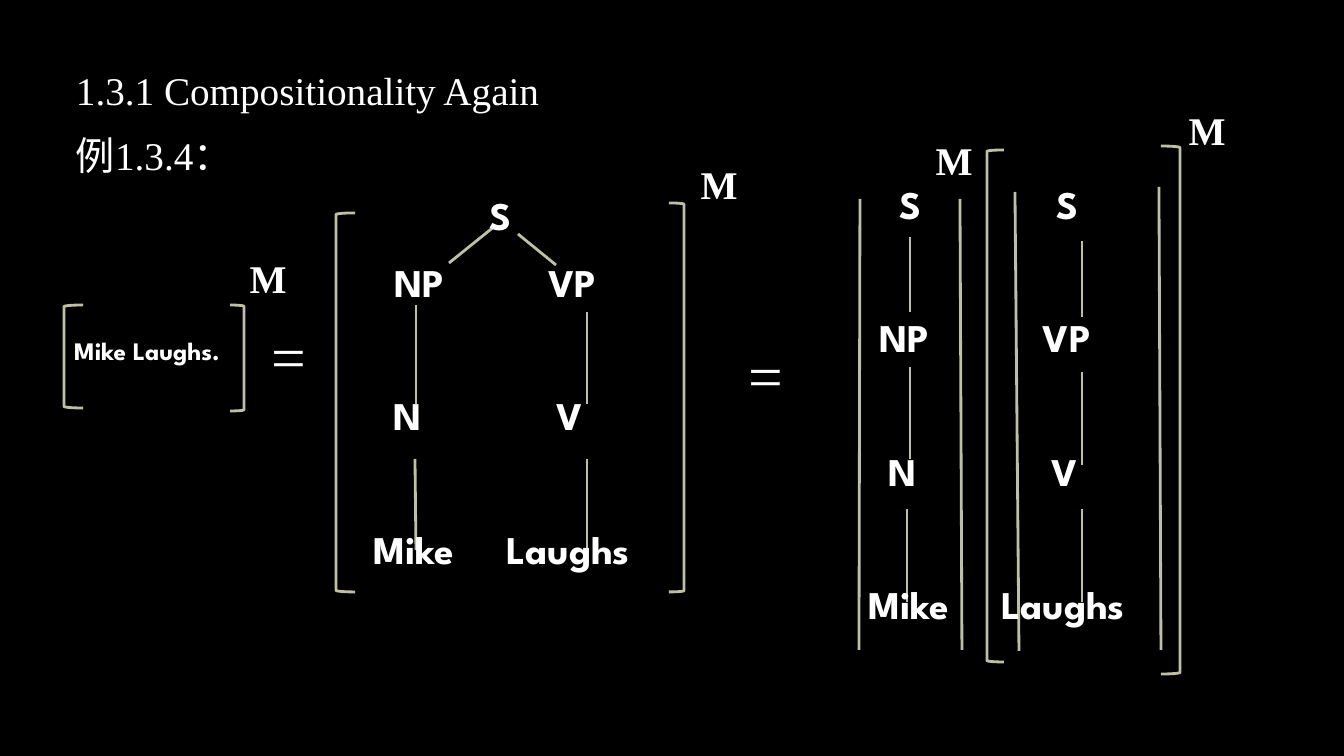
from lxml import etree
from pptx import Presentation
from pptx import util as u
from pptx.dml.color import RGBColor
from pptx.enum import shapes, text
from pptx.oxml.ns import qn

BLACK = RGBColor(0x00, 0x00, 0x00)
WHITE = RGBColor(0xFF, 0xFF, 0xFF)
SAGE = RGBColor(0xBF, 0xBF, 0xA5)
SERIF, SANS, SPARTAN = "Times New Roman", "Arial", "League Spartan"
PX = 914400 / 100.8


def px(length):
    return u.Emu(round(length * PX))


def write(paragraph, words, font=SERIF, size=28, bold=False, color=WHITE):
    run = paragraph.add_run()
    run.text = words
    run.font.name = font
    run.font.size = u.Pt(size)
    run.font.bold = bold
    run.font.color.rgb = color


class Board:
    """Draws semantic derivations in one style on one slide."""

    def __init__(self, slide, ink=SAGE, weight=2):
        self.slide, self.ink, self.weight = slide, ink, weight
        slide.background.fill.solid()
        slide.background.fill.fore_color.rgb = BLACK

    def label(self, x, y, width, height, align=text.PP_ALIGN.CENTER):
        box = self.slide.shapes.add_textbox(px(x), px(y), px(width), px(height))
        frame = box.text_frame
        frame.word_wrap = True
        frame.vertical_anchor = text.MSO_ANCHOR.MIDDLE
        frame.margin_left = frame.margin_right = 0
        frame.margin_top = frame.margin_bottom = 0
        frame.paragraphs[0].alignment = align
        return frame.paragraphs[0]

    def heading(self, y, *pieces):
        line = self.label(76, y, 820, 48, text.PP_ALIGN.LEFT)
        for words, font in pieces:
            write(line, words, font)

    def node(self, words, x, y, size=28):
        cap_drop = 4 if size == 28 else 3
        line = self.label(x - 80, y - cap_drop - 24, 160, 48)
        write(line, words, SPARTAN, size, bold=True)

    def model(self, x, y):
        write(self.label(x - 28, y - 25, 56, 48), "M", bold=True)

    def equals(self, x, y):
        write(self.label(x - 30, y - 38, 60, 70), "=", size=44)

    def stroke(self, x1, y1, x2, y2):
        line = self.slide.shapes.add_connector(
            shapes.MSO_CONNECTOR.STRAIGHT, px(x1), px(y1), px(x2), px(y2))
        line.line.color.rgb = self.ink
        line.line.width = u.Pt(self.weight)
        etree.SubElement(line._element.spPr, qn("a:effectLst"))

    def bracket(self, side, x, y, width, height):
        shape = self.slide.shapes.add_shape(side, px(x), px(y), px(width), px(height))
        shape.shadow.inherit = False
        shape.fill.background()
        shape.line.color.rgb = self.ink
        shape.line.width = u.Pt(self.weight)


def main():
    deck = Presentation()
    deck.slide_width, deck.slide_height = px(1344), px(756)
    board = Board(deck.slides.add_slide(deck.slide_layouts[6]))
    left, right = shapes.MSO_SHAPE.LEFT_BRACKET, shapes.MSO_SHAPE.RIGHT_BRACKET

    board.heading(66, ("1.3.1 Compositionality Again", SERIF))
    board.heading(131, ("例", SANS), ("1.3.4", SERIF), ("：", SANS))

    brackets = [
        (left, 64, 305, 19, 103), (right, 230, 305, 14, 106),
        (left, 336, 213, 19, 379), (right, 669, 203, 15, 389),
        (left, 987, 150, 17, 512), (right, 1161, 146, 19, 528),
    ]
    for bracket in brackets:
        board.bracket(*bracket)

    branches = [
        (495, 226, 449, 263), (518, 234, 556, 265),
        (416, 305, 416, 404), (587, 312, 587, 404),
        (415, 459, 416, 550), (587, 459, 587, 550),
        (910, 237, 910, 312), (1082, 241, 1082, 317),
        (910, 367, 910, 459), (1082, 372, 1082, 465),
        (907, 509, 907, 602), (1082, 509, 1082, 602),
    ]
    bars = [
        (860, 199, 859, 650), (960, 199, 962, 650),
        (1015, 192, 1019, 651), (1159, 187, 1161, 650),
    ]
    for ends in branches + bars:
        board.stroke(*ends)

    board.node("Mike Laughs.", 147, 353, size=18)
    board.node("S", 500, 219)
    sentence_rows = [
        (286, ("NP", 419), ("VP", 572)),
        (419, ("N", 408), ("V", 570)),
        (553, ("Mike", 414), ("Laughs", 568)),
    ]
    applied_rows = [
        (208, ("S", 910), ("S", 1067)),
        (341, ("NP", 904), ("VP", 1067)),
        (475, ("N", 903), ("V", 1065)),
        (608, ("Mike", 909), ("Laughs", 1063)),
    ]
    for y, *nodes in sentence_rows + applied_rows:
        for words, x in nodes:
            board.node(words, x, y)

    for x, y in [(268, 279), (719, 185), (954, 161), (1207, 131)]:
        board.model(x, y)
    for x, y in [(289, 358), (766, 377)]:
        board.equals(x, y)

    deck.save("out.pptx")


if __name__ == "__main__":
    main()
